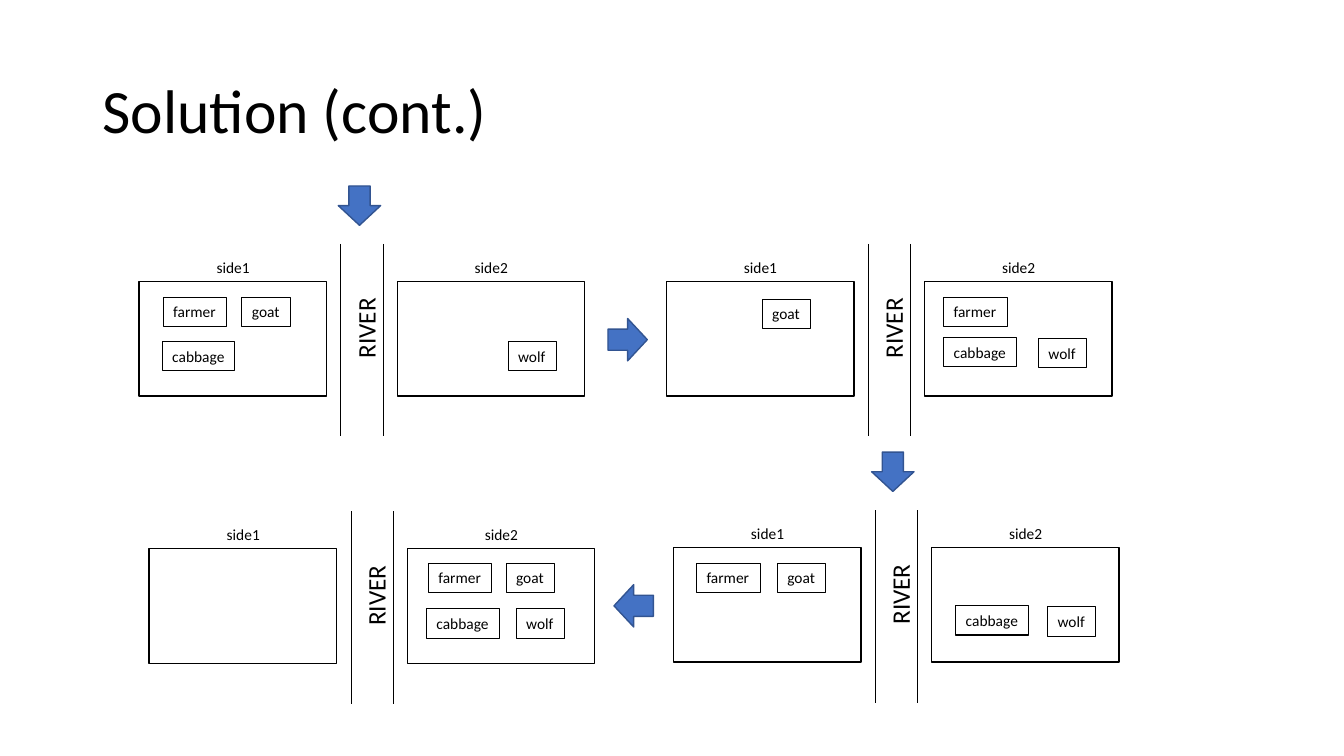
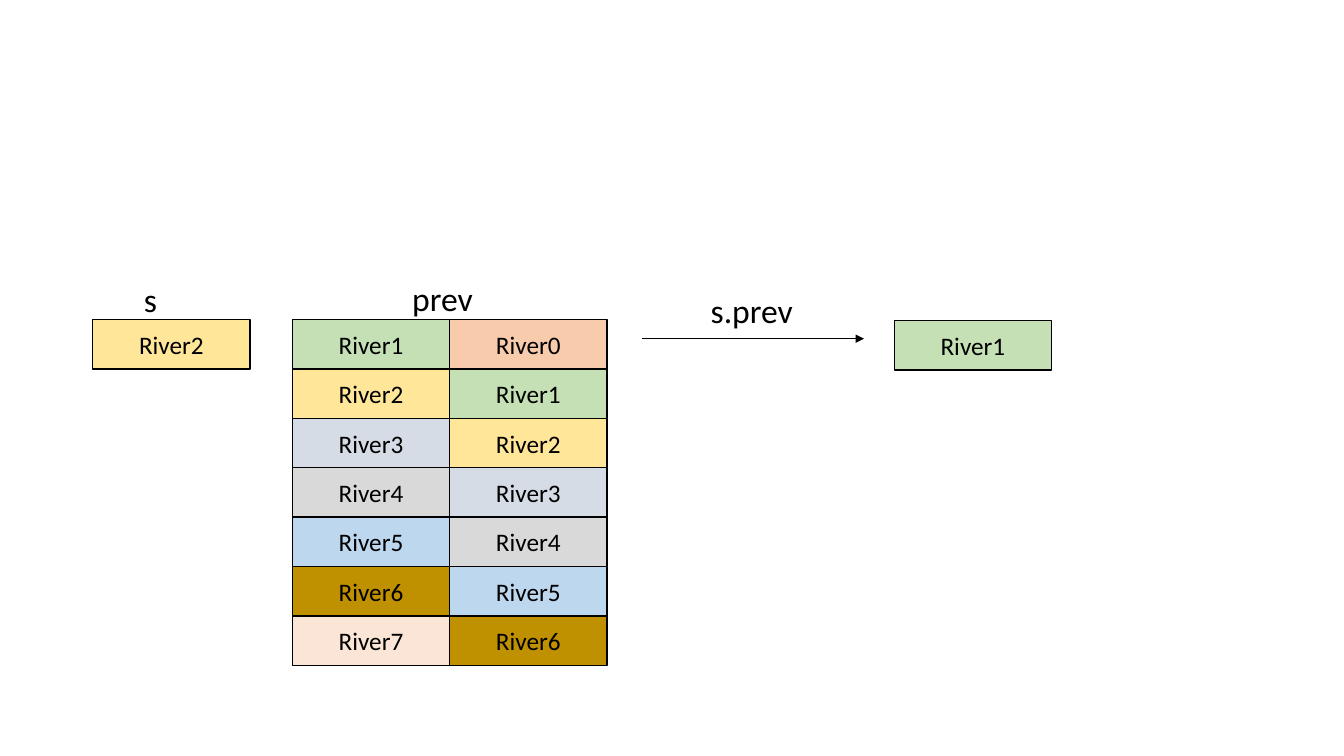
from pptx import Presentation
from pptx.dml.color import RGBColor
from pptx.enum.shapes import MSO_CONNECTOR, MSO_SHAPE
from pptx.enum.text import MSO_ANCHOR, PP_ALIGN
from pptx.oxml.ns import qn
from pptx.util import Inches, Pt
from lxml import etree

RECTANGLE, ARROW = MSO_SHAPE.RECTANGLE, MSO_SHAPE.RIGHT_ARROW
STRAIGHT = MSO_CONNECTOR.STRAIGHT
TOP, MIDDLE = MSO_ANCHOR.TOP, MSO_ANCHOR.MIDDLE
LEFT, CENTER = PP_ALIGN.LEFT, PP_ALIGN.CENTER

FONT = "Calibri"
BLACK = "000000"
ARROW_FILL, ARROW_LINE = "4472C4", "325491"
STATE_FILLS = ["F8CBAD", "C5E0B4", "FFE699", "D6DCE5", "D9D9D9", "BDD7EE", "BF9000", "FBE5D6"]

BANK_WIDTH, BANK_HEIGHT = 1.86, 1.14
RIVER_GAP = 0.7
ITEM_WIDTHS = {"farmer": 0.63, "goat": 0.48, "cabbage": 0.72, "wolf": 0.48}
ITEM_HEIGHT = 0.29
STATE_WIDTH, STATE_HEIGHT = 1.56, 0.49

CROSSINGS = [
    (1.38, 2.79,
     {"farmer": (0.24, 0.16), "goat": (1.02, 0.16), "cabbage": (0.23, 0.6)},
     {"wolf": (1.1, 0.6)}),
    (6.61, 2.79,
     {"goat": (0.95, 0.18)},
     {"farmer": (0.19, 0.16), "cabbage": (0.19, 0.56), "wolf": (1.13, 0.57)}),
    (6.68, 5.43,
     {"farmer": (0.23, 0.16), "goat": (1.03, 0.16)},
     {"cabbage": (0.24, 0.58), "wolf": (1.15, 0.59)}),
    (1.48, 5.44,
     {},
     {"farmer": (0.21, 0.15), "goat": (0.98, 0.15), "cabbage": (0.19, 0.6), "wolf": (1.08, 0.6)}),
]
STEP_ARROWS = [(3.37, 1.83, 90), (6.03, 3.16, 0), (8.66, 4.47, 90), (6.09, 5.8, 180)]


def color(hex_string):
    return RGBColor.from_string(hex_string)


def write(frame, text, size, align=LEFT):
    paragraph = frame.paragraphs[0]
    paragraph.text = text
    paragraph.alignment = align
    paragraph.font.name = FONT
    paragraph.font.size = Pt(size)
    paragraph.font.color.rgb = color(BLACK)
    return paragraph


def add_label(slide, text, left, top, width, height, size, rotation=0):
    label = slide.shapes.add_textbox(Inches(left), Inches(top), Inches(width), Inches(height))
    label.text_frame.word_wrap = False
    label.rotation = rotation
    write(label.text_frame, text, size)


def add_box(slide, left, top, width, height, fill=None, line=BLACK, weight=1, preset=RECTANGLE):
    box = slide.shapes.add_shape(preset, Inches(left), Inches(top), Inches(width), Inches(height))
    box.shadow.inherit = False
    if fill:
        box.fill.solid()
        box.fill.fore_color.rgb = color(fill)
    else:
        box.fill.background()
    box.line.color.rgb = color(line)
    box.line.width = Pt(weight)
    return box


def add_line(slide, start_x, start_y, end_x, end_y, arrowhead=False):
    connector = slide.shapes.add_connector(
        STRAIGHT, Inches(start_x), Inches(start_y), Inches(end_x), Inches(end_y))
    connector.line.color.rgb = color(BLACK)
    connector.line.width = Pt(0.5)
    properties = connector._element.spPr
    if arrowhead:
        etree.SubElement(properties.find(qn("a:ln")), qn("a:tailEnd"), type="triangle")
    etree.SubElement(properties, qn("a:effectLst"))


def add_title(slide, text):
    title = slide.shapes.add_textbox(Inches(0.92), Inches(0.4), Inches(11.5), Inches(1.45))
    title.text_frame.word_wrap = True
    title.text_frame.vertical_anchor = MIDDLE
    write(title.text_frame, text, 44).line_spacing = 0.9


def add_bank(slide, name, left, top, items):
    add_box(slide, left, top, BANK_WIDTH, BANK_HEIGHT)
    add_label(slide, name, left + 0.67, top - 0.28, 0.53, ITEM_HEIGHT, 11)
    for item, (across, down) in items.items():
        box = add_box(slide, left + across, top + down, ITEM_WIDTHS[item], ITEM_HEIGHT, weight=0.75)
        box.text_frame.word_wrap = False
        box.text_frame.vertical_anchor = TOP
        write(box.text_frame, item, 11)


def add_crossing(slide, left, top, side1, side2):
    river_left = left + BANK_WIDTH
    add_bank(slide, "side1", left, top, side1)
    add_bank(slide, "side2", river_left + RIVER_GAP, top, side2)
    for shore in (river_left + 0.14, river_left + RIVER_GAP - 0.14):
        add_line(slide, shore, top - 0.37, shore, top + 1.54)
    add_label(slide, "RIVER", river_left - 0.02, top + 0.26, 0.81, 0.4, 18, 270)


def add_state(slide, number, left, top):
    box = add_box(slide, left, top, STATE_WIDTH, STATE_HEIGHT, STATE_FILLS[number])
    box.text_frame.vertical_anchor = MIDDLE
    write(box.text_frame, f"River{number}", 18, CENTER)


def add_prev_map(slide, left, top):
    for row in range(len(STATE_FILLS) - 1):
        row_top = top + row * STATE_HEIGHT
        add_state(slide, row + 1, left, row_top)
        add_state(slide, row, left + STATE_WIDTH, row_top)


def build_solution_slide(slide):
    add_title(slide, "Solution (cont.)")
    for crossing in CROSSINGS:
        add_crossing(slide, *crossing)
    for left, top, rotation in STEP_ARROWS:
        arrow = add_box(slide, left, top, 0.39, 0.42, ARROW_FILL, ARROW_LINE, preset=ARROW)
        arrow.rotation = rotation


def build_prev_slide(slide):
    add_label(slide, "s", 1.33, 2.72, 0.33, 0.5, 24)
    add_state(slide, 2, 0.92, 3.17)
    add_label(slide, "prev", 3.99, 2.71, 0.81, 0.5, 24)
    add_prev_map(slide, 2.9, 3.17)
    add_label(slide, "s.prev", 6.95, 2.83, 1.03, 0.5, 24)
    add_line(slide, 6.37, 3.36, 8.57, 3.36, arrowhead=True)
    add_state(slide, 1, 8.87, 3.18)


def main():
    presentation = Presentation()
    presentation.slide_width = Inches(13.33)
    presentation.slide_height = Inches(7.5)
    blank = presentation.slide_layouts[6]
    for build in (build_solution_slide, build_prev_slide):
        build(presentation.slides.add_slide(blank))
    presentation.save("out.pptx")


if __name__ == "__main__":
    main()
